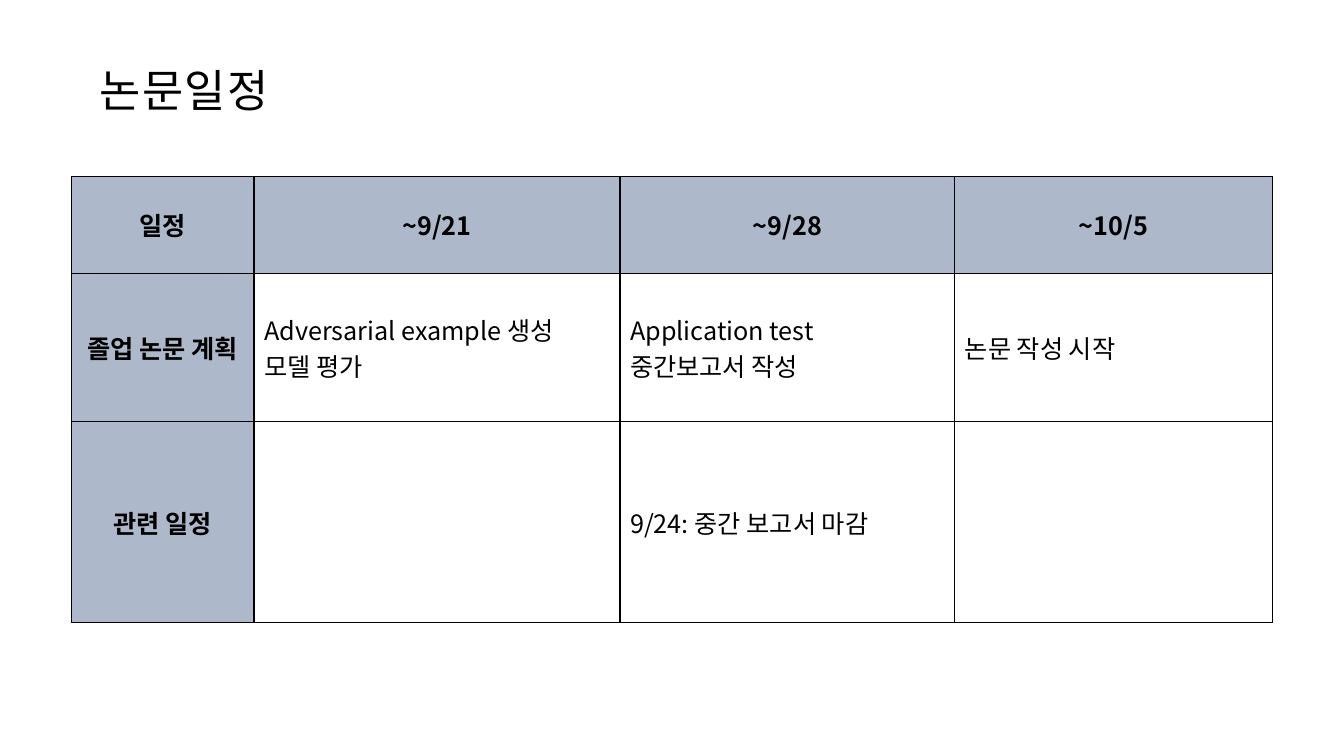
from lxml.etree import SubElement
from pptx import Presentation
from pptx.dml.color import RGBColor
from pptx.enum.text import MSO_ANCHOR, PP_ALIGN
from pptx.oxml.ns import qn
from pptx.util import Inches, Pt

COLORS = {"text": "000000", "border": "000000", "header": "ADB9CA", "body": "FFFFFF"}


class SlideBuilder:
    font = "Noto Sans CJK KR"

    def __init__(self, prs):
        self.s = prs.slides.add_slide(prs.slide_layouts[6])

    def style(self, p, size, bold=False, spacing=None):
        f = p.font
        f.size, f.bold, f.name = Pt(size), bold, self.font
        f.color.rgb = RGBColor.from_string(COLORS["text"])
        props = p._p.pPr.find(qn("a:defRPr"))
        SubElement(props, qn("a:ea"), typeface=self.font)
        if spacing:
            props.set("spc", str(spacing * 100))

    def title(self, text, x, y, w, h):
        tf = self.s.shapes.add_textbox(Inches(x), Inches(y), Inches(w), Inches(h)).text_frame
        tf.word_wrap = True
        tf.vertical_anchor = MSO_ANCHOR.BOTTOM
        p = tf.paragraphs[0]
        p.text = text
        p.line_spacing = 0.9
        self.style(p, 32, spacing=1)

    def borders(self, cell):
        tcPr = cell._tc.get_or_add_tcPr()
        for i, side in enumerate(("lnL", "lnR", "lnT", "lnB")):
            ln = tcPr.makeelement(qn(f"a:{side}"), {"w": str(Pt(1))})
            fill = SubElement(ln, qn("a:solidFill"))
            SubElement(fill, qn("a:srgbClr"), val=COLORS["border"])
            tcPr.insert(i, ln)

    def cell(self, cell, text, header):
        cell.fill.solid()
        cell.fill.fore_color.rgb = RGBColor.from_string(COLORS["header" if header else "body"])
        cell.vertical_anchor = MSO_ANCHOR.MIDDLE
        cell.text = text
        for p in cell.text_frame.paragraphs:
            p.alignment = PP_ALIGN.CENTER if header else PP_ALIGN.LEFT
            self.style(p, 18, bold=header)
        self.borders(cell)

    def table(self, rows, x, y, widths, heights):
        table = self.s.shapes.add_table(
            len(rows), len(widths), Inches(x), Inches(y),
            Inches(sum(widths)), Inches(sum(heights))).table
        table.first_row = table.horz_banding = False
        for col, width in zip(table.columns, widths):
            col.width = Inches(width)
        for r, (texts, height) in enumerate(zip(rows, heights)):
            table.rows[r].height = Inches(height)
            for c, text in enumerate(texts):
                self.cell(table.cell(r, c), text, header=r == 0 or c == 0)


def main():
    prs = Presentation()
    prs.slide_width, prs.slide_height = Inches(13.33), Inches(7.5)
    slide = SlideBuilder(prs)

    # Schedule table
    schedule = [
        ["일정", "~9/21", "~9/28", "~10/5"],
        ["졸업 논문 계획", "Adversarial example 생성\n모델 평가",
         "Application test\n중간보고서 작성", "논문 작성 시작"],
        ["관련 일정", "", "9/24: 중간 보고서 마감", ""],
    ]
    slide.table(schedule, 0.71, 1.75, [1.81, 3.63, 3.32, 3.15], [0.96, 1.47, 2])

    # Title
    slide.title("논문일정", 0.89, 0.52, 11.5, 0.69)

    prs.save("out.pptx")


if __name__ == "__main__":
    main()
